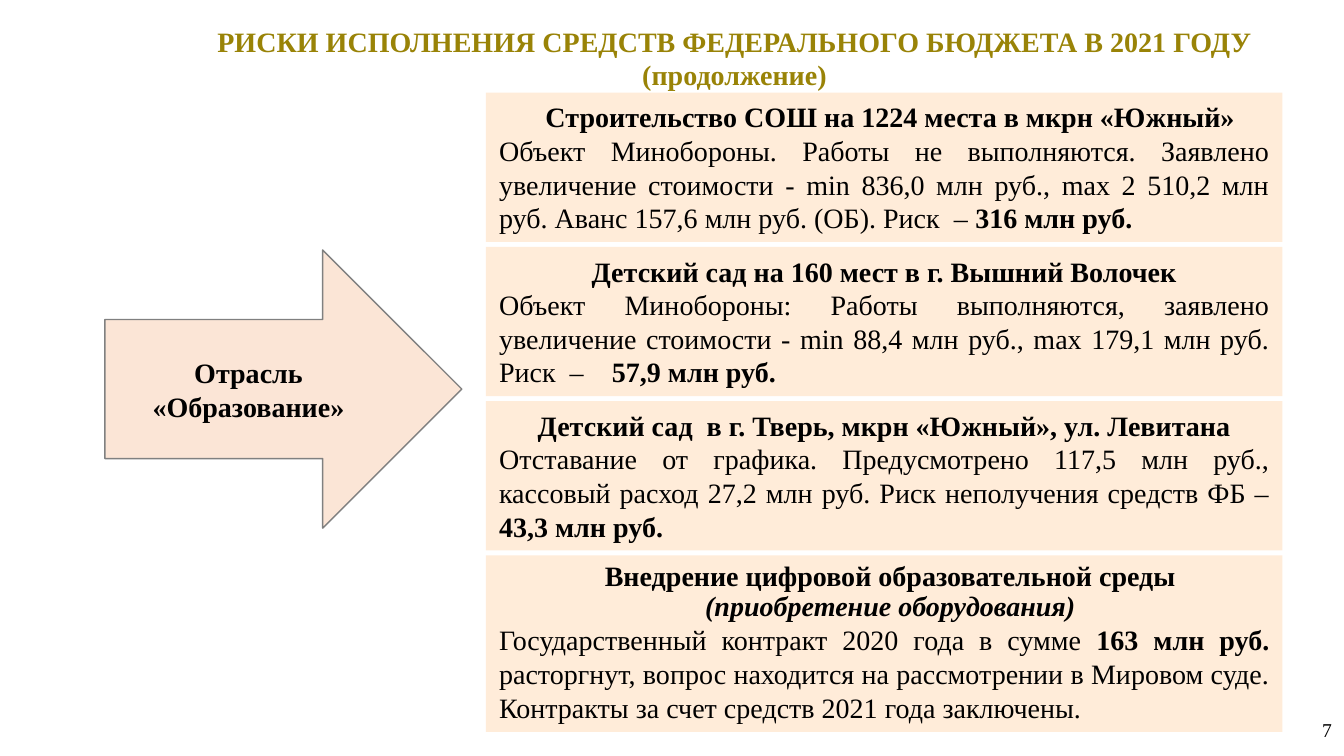
from dataclasses import dataclass

from pptx import Presentation
from pptx.dml.color import RGBColor
from pptx.enum.shapes import MSO_SHAPE
from pptx.enum.text import MSO_ANCHOR, MSO_AUTO_SIZE, PP_ALIGN
from pptx.util import Emu, Pt

PX = 9144  # EMU in one px, 100 px to the inch
RECTANGLE, RIGHT_ARROW = MSO_SHAPE.RECTANGLE, MSO_SHAPE.RIGHT_ARROW
TOP, MIDDLE = MSO_ANCHOR.TOP, MSO_ANCHOR.MIDDLE
CENTER, JUSTIFY, RIGHT = PP_ALIGN.CENTER, PP_ALIGN.JUSTIFY, PP_ALIGN.RIGHT
TITLE_ONLY = 5


@dataclass(frozen=True)
class Theme:
    font: str = "Times New Roman"
    text: str = "000000"
    title: str = "998307"
    card: str = "FFECD9"
    arrow: str = "FBE5D6"
    outline: str = "808080"
    body_size: int = 20
    number_size: int = 14


THEME = Theme()
CARD_LEFT, CARD_TOP, CARD_WIDTH, CARD_PITCH = 482, 92, 790, 153
HEADING_INDENT = 12

# Each card: height, heading indent, heading line spacing, heading spans, body spans.
# A span is its text and its style: "" plain, "b" bold, "bi" bold italic.
CARDS = [
    (148, HEADING_INDENT, 1.0,
     [("Строительство СОШ на 1224 места в мкрн «Южный»", "b")],
     [("Объект Минобороны. Работы не выполняются. Заявлено увеличение стоимости - "
       "min 836,0 млн руб., max 2 510,2 млн руб. Аванс 157,6 млн руб. (ОБ). Риск  – ", ""),
      ("316 млн руб.", "b")]),
    (148, 0, 1.0,
     [("Детский сад на 160 мест в г. Вышний Волочек", "b")],
     [("Объект Минобороны: Работы выполняются, заявлено увеличение стоимости - "
       "min 88,4 млн руб., max 179,1 млн руб. Риск  –    ", ""),
      ("57,9 млн руб.", "b")]),
    (148, 0, 1.0,
     [("Детский сад  в г. Тверь, мкрн «Южный», ул. Левитана", "b")],
     [("Отставание от графика. Предусмотрено 117,5 млн руб., кассовый расход "
       "27,2 млн руб. Риск неполучения средств ФБ – ", ""),
      ("43,3 млн руб.", "b")]),
    (175, HEADING_INDENT, 0.9,
     [("Внедрение цифровой образовательной среды ", "b"),
      ("(приобретение оборудования)", "bi")],
     [("Государственный контракт 2020 года в сумме ", ""),
      ("163 млн руб. ", "b"),
      ("расторгнут, вопрос находится на рассмотрении в Мировом суде. "
       "Контракты за счет средств 2021 года заключены.", "")]),
]


def px(*lengths):
    return [Emu(length * PX) for length in lengths]


def set_frame(shape, anchor=TOP, margins=(10, 5), grow=False):
    frame = shape.text_frame
    frame.word_wrap = True
    frame.vertical_anchor = anchor
    frame.auto_size = MSO_AUTO_SIZE.SHAPE_TO_FIT_TEXT if grow else MSO_AUTO_SIZE.NONE
    side, edge = px(*margins)
    frame.margin_left = frame.margin_right = side
    frame.margin_top = frame.margin_bottom = edge
    return frame


def write(para, spans, align=CENTER, size=THEME.body_size, color=THEME.text,
          indent=0, line_spacing=1.0):
    para.alignment = align
    para.line_spacing = line_spacing
    if indent:
        para._p.get_or_add_pPr().set("marL", str(indent * PX))
    for text, style in spans:
        span = para.add_run()
        span.text = text
        font = span.font
        font.name, font.size = THEME.font, Pt(size)
        font.bold, font.italic = "b" in style, "i" in style
        font.color.rgb = RGBColor.from_string(color)


def add_filled_shape(page, kind, bounds, fill, outline=None):
    shape = page.shapes.add_shape(kind, *px(*bounds))
    shape.shadow.inherit = False
    shape.fill.solid()
    shape.fill.fore_color.rgb = RGBColor.from_string(fill)
    if outline:
        shape.line.color.rgb = RGBColor.from_string(outline)
        shape.line.width = Pt(1)
    else:
        shape.line.fill.background()
    return shape


def set_title(page, lines):
    title = page.shapes.title
    title.left, title.top, title.width, title.height = px(143, 19, 1171, 77)
    frame = set_frame(title, grow=True)
    for index, line in enumerate(lines):
        para = frame.add_paragraph() if index else frame.paragraphs[0]
        write(para, [(line, "b")], color=THEME.title)


def add_arrow(page, label):
    arrow = add_filled_shape(page, RIGHT_ARROW, (104, 248, 354, 276),
                             THEME.arrow, THEME.outline)
    write(set_frame(arrow, MIDDLE).paragraphs[0], [(label, "b")])


def add_card(page, top, height, indent, line_spacing, heading, body):
    card = add_filled_shape(page, RECTANGLE, (CARD_LEFT, top, CARD_WIDTH, height), THEME.card)
    frame = set_frame(card, margins=(13, 7), grow=True)
    write(frame.paragraphs[0], heading, indent=indent, line_spacing=line_spacing)
    write(frame.add_paragraph(), body, align=JUSTIFY)


def add_page_number(page, number):
    box = page.shapes.add_textbox(*px(1031, 704, 300, 40))
    write(set_frame(box, MIDDLE).paragraphs[0], [(number, "")],
          align=RIGHT, size=THEME.number_size)


def main():
    deck = Presentation()
    deck.slide_width, deck.slide_height = px(1333, 750)
    page = deck.slides.add_slide(deck.slide_layouts[TITLE_ONLY])
    set_title(page, ["РИСКИ ИСПОЛНЕНИЯ СРЕДСТВ ФЕДЕРАЛЬНОГО БЮДЖЕТА В 2021 ГОДУ",
                     "(продолжение)"])
    add_arrow(page, "Отрасль «Образование»")
    for index, card in enumerate(CARDS):
        add_card(page, CARD_TOP + index * CARD_PITCH, *card)
    add_page_number(page, "7")
    deck.save("out.pptx")


if __name__ == "__main__":
    main()
